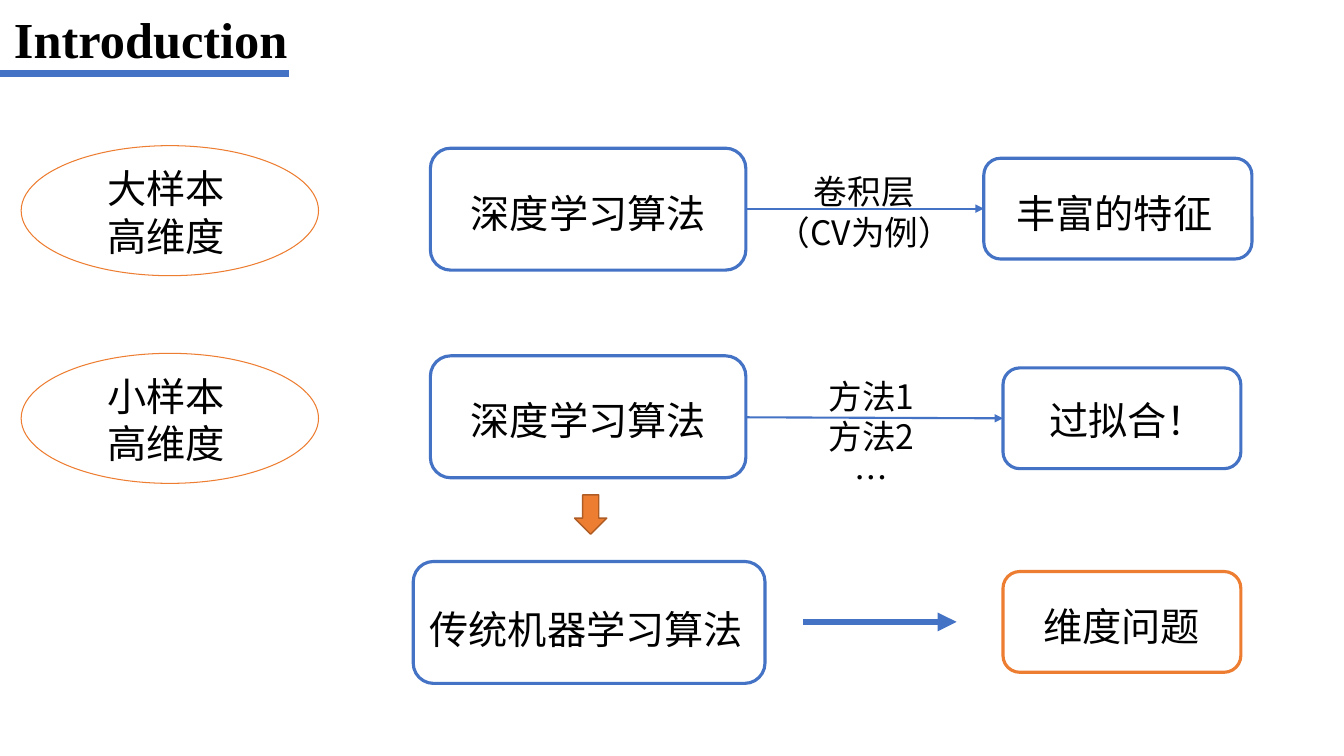
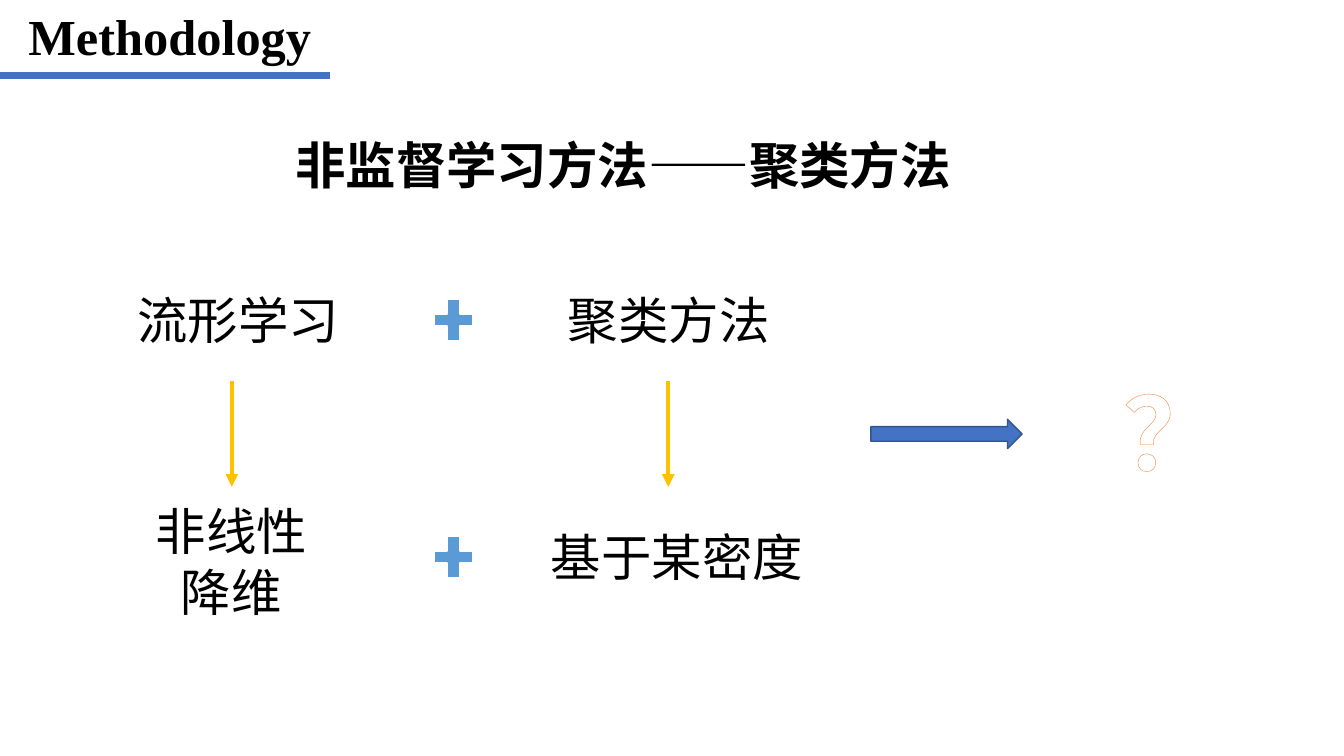
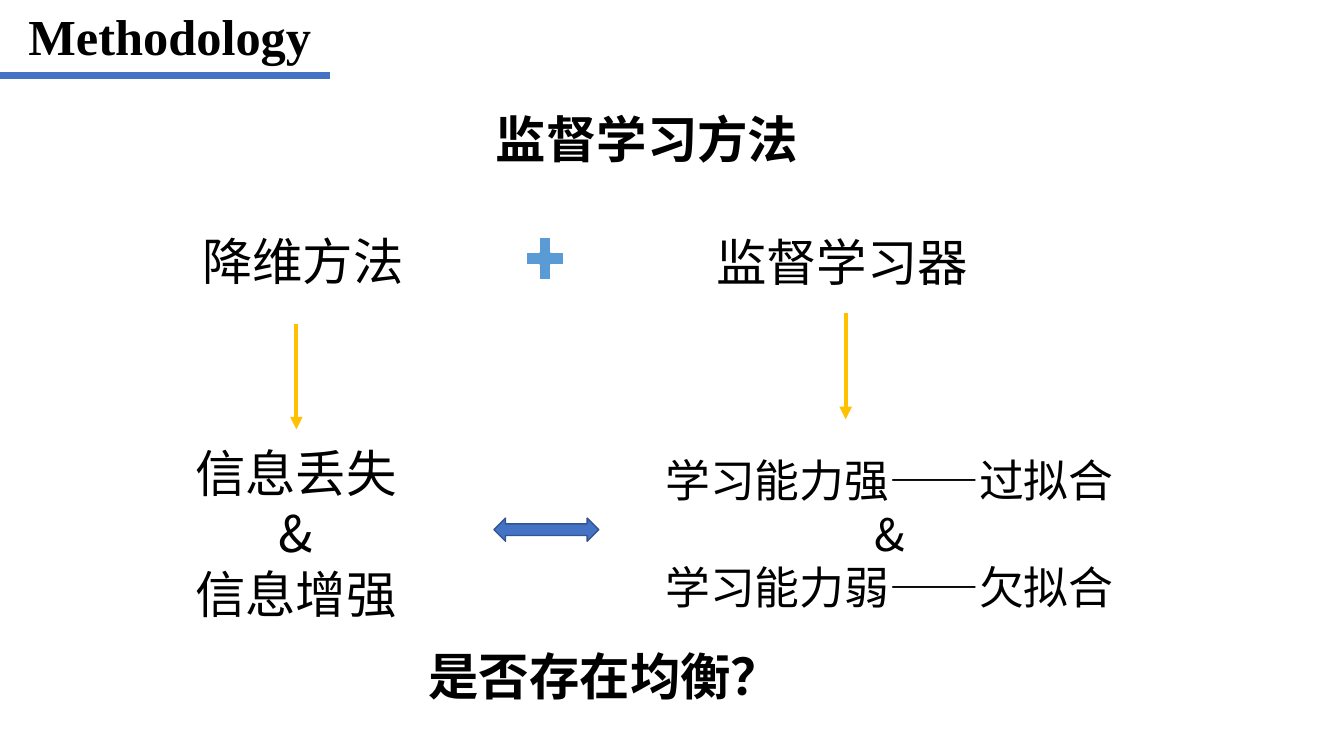
from lxml.etree import SubElement
from pptx import Presentation
from pptx.dml.color import RGBColor
from pptx.enum.shapes import MSO_CONNECTOR, MSO_SHAPE
from pptx.enum.text import MSO_ANCHOR, MSO_AUTO_SIZE, PP_ALIGN
from pptx.oxml import parse_xml
from pptx.oxml.ns import nsdecls, qn
from pptx.util import Inches, Pt

COLUMNS, ROWS = 160, 90
COLOURS = {
    "black": "000000",
    "white": "FFFFFF",
    "blue": "4472C4",
    "navy": "325491",
    "sky": "5B9BD5",
    "orange": "ED7D31",
    "rust": "AF5C24",
    "gold": "FFC000",
}
BODY_FONT, TITLE_FONT = "Noto Sans CJK SC", "Times New Roman"
FRAME = {
    "word_wrap": True,
    "auto_size": MSO_AUTO_SIZE.NONE,
    "vertical_anchor": MSO_ANCHOR.TOP,
    "margin_left": Inches(0.1),
    "margin_right": Inches(0.1),
    "margin_top": Inches(0.05),
    "margin_bottom": 0,
}
LINE_PITCH, LINE_DROP = 1.2, 0.09


def colour(name):
    return RGBColor.from_string(COLOURS[name])


def apply(target, values):
    for name, value in values.items():
        setattr(target, name, value)


class Deck:
    def __init__(self):
        self.deck = Presentation()
        apply(self.deck, {"slide_width": Inches(13.33), "slide_height": Inches(7.5)})
        self.page = None

    def across(self, columns):
        return round(self.deck.slide_width * columns / COLUMNS)

    def down(self, rows):
        return round(self.deck.slide_height * rows / ROWS)

    def area(self, left, top, width, height):
        return self.across(left), self.down(top), self.across(width), self.down(height)

    def set_text(self, box, lines, size, font, bold=False, fill="black"):
        frame = box.text_frame
        apply(frame, FRAME)
        frame.text = "\n".join(lines)
        for para in frame.paragraphs:
            para.alignment = PP_ALIGN.CENTER
            para._p.get_or_add_pPr().set("hangingPunct", "1")
            for span in para.runs:
                apply(span.font, {"name": font, "size": Pt(size), "bold": bold})
                span.font.color.rgb = colour(fill)
                SubElement(span._r.rPr, qn("a:ea"), typeface=font)
        return frame

    def add_page(self, title, top, width, rule_start, rule_end, rule_row):
        self.page = self.deck.slides.add_slide(self.deck.slide_layouts[5])
        box = self.page.shapes.title
        left, top, width, height = self.area(0, top, width, 8.5)
        apply(box, {"left": left, "top": top, "width": width, "height": height})
        self.set_text(box, [title], 36, TITLE_FONT, True)
        self.line((rule_start, rule_row), (rule_end, rule_row), "blue", 4.5)

    def text(self, centre, top, width, *lines, size=28, bold=False, fill="black", outline=None):
        height = 1.2 + len(lines) * size * LINE_PITCH / 6
        box = self.page.shapes.add_textbox(*self.area(centre - width / 2, top, width, height))
        frame = self.set_text(box, lines, size, BODY_FONT, bold, fill)
        frame.margin_top = Inches(0.05) + Pt(size * LINE_DROP)
        for para in frame.paragraphs:
            para.line_spacing = Pt(size * LINE_PITCH)
            for span in para.runs:
                if outline:
                    span._r.rPr.insert(0, parse_xml(
                        f'<a:ln {nsdecls("a")} w="6600"><a:solidFill>'
                        f'<a:srgbClr val="{COLOURS[outline]}"/></a:solidFill></a:ln>'))

    def shape(self, kind, area, line, weight, fill=None):
        box = self.page.shapes.add_shape(kind, *self.area(*area))
        box.shadow.inherit = False
        if fill:
            box.fill.solid()
            box.fill.fore_color.rgb = colour(fill)
        else:
            box.fill.background()
        box.line.color.rgb = colour(line)
        box.line.width = Pt(weight)

    def card(self, area, line="blue", fill=None):
        self.shape(MSO_SHAPE.ROUNDED_RECTANGLE, area, line, 2.25, fill)

    def plus(self, left, top):
        self.shape(MSO_SHAPE.MATH_PLUS, (left, top, 6.24, 6.84), "white", 1.5, "sky")

    def line(self, start, end, stroke, weight, arrow=False):
        line = self.page.shapes.add_connector(
            MSO_CONNECTOR.STRAIGHT,
            self.across(start[0]), self.down(start[1]),
            self.across(end[0]), self.down(end[1]))
        line.line.color.rgb = colour(stroke)
        line.line.width = Pt(weight)
        properties = line._element.spPr
        if arrow:
            SubElement(properties.find(qn("a:ln")), qn("a:tailEnd"), type="triangle")
        SubElement(properties, qn("a:effectLst"))

    def drop(self, column, top):
        self.line((column, top), (column, top + 12.6), "gold", 3, True)


def introduction(deck):
    deck.add_page("Introduction", 0.36, 35.88, 0, 34.44, 8.76)
    for index, sample in enumerate(("大样本", "小样本")):
        shift = index * 24.72
        deck.shape(MSO_SHAPE.OVAL, (2.52, 17.34 + shift, 35.4, 15.48), "orange", 0.75)
        deck.text(19.74, 18.6 + shift, 31.08, sample, "高维度")
        deck.card((51.24, 17.64 + shift, 37.56, 14.52))
        deck.text(70.02, 21.48 + shift, 31.08, "深度学习算法")
    deck.shape(MSO_SHAPE.DOWN_ARROW, (68.4, 58.92, 3.84, 4.68), "rust", 1, "orange")
    deck.card((49.2, 66.84, 41.88, 14.52))
    deck.text(69.78, 71.04, 40, "传统机器学习算法")

    results = (
        ((117.12, 18.84, 31.92, 12), "blue", None, 132.66, 21.48, "丰富的特征"),
        ((119.4, 43.8, 28.32, 12), "blue", None, 134.22, 46.2, "过拟合！"),
        ((119.4, 68.04, 28.32, 12), "orange", "white", 133.5, 70.68, "维度问题"),
    )
    for area, line, fill, centre, top, label in results:
        deck.card(area, line, fill)
        deck.text(centre, top, 26.52, label)

    deck.line((88.8, 24.84), (117.12, 24.84), "blue", 1.5, True)
    deck.text(102.9, 19.44, 26.52, "卷积层", "（CV为例）", size=24)
    deck.line((88.8, 49.68), (119.4, 49.8), "blue", 1.5, True)
    deck.text(103.74, 43.8, 26.52, "方法1", "方法2", "…", size=24)
    deck.line((95.64, 74.04), (113.88, 74.04), "blue", 4.5, True)


def methodology(deck, heading, centre, top):
    deck.add_page("Methodology", 0, 40.44, -0.24, 39.24, 9)
    deck.text(centre, top, 92.4, heading, size=36, bold=True)


def unsupervised(deck):
    methodology(deck, "非监督学习方法——聚类方法", 74.16, 14.88)
    deck.text(28.38, 33.24, 29.88, "流形学习", size=36)
    deck.text(79.62, 33.24, 29.88, "聚类方法", size=36)
    for top in (34.68, 62.88):
        deck.plus(50.88, top)
    for column in (27.6, 79.56):
        deck.drop(column, 45.36)
    deck.text(27.54, 58.44, 29.88, "非线性", "降维", size=36)
    deck.text(80.58, 61.44, 33.48, "基于某密度", size=36)
    deck.shape(MSO_SHAPE.RIGHT_ARROW, (103.68, 49.92, 18, 3.48), "navy", 1, "blue")
    deck.text(138.06, 42.36, 11.16, "？", size=72, bold=True, fill="white", outline="orange")


def supervised(deck):
    methodology(deck, "监督学习方法", 77.04, 11.76)
    deck.text(36.06, 26.28, 29.88, "降维方法", size=36)
    deck.plus(61.8, 27.36)
    deck.text(100.26, 26.4, 32.76, "监督学习器", size=36)
    deck.drop(35.28, 38.52)
    deck.drop(100.68, 37.32)
    deck.text(35.22, 51.48, 29.88, "信息丢失", "&", "信息增强", size=36)
    deck.shape(MSO_SHAPE.LEFT_RIGHT_ARROW, (58.8, 61.68, 12.48, 2.76), "navy", 1, "blue")
    deck.text(105.9, 52.8, 67.08, "学习能力强——过拟合", "&", "学习能力弱——欠拟合", size=32)
    deck.text(69, 75.72, 40.08, "是否存在均衡？", size=36, bold=True)


def main():
    deck = Deck()
    for build in (introduction, unsupervised, supervised):
        build(deck)
    deck.deck.save("out.pptx")


if __name__ == "__main__":
    main()
